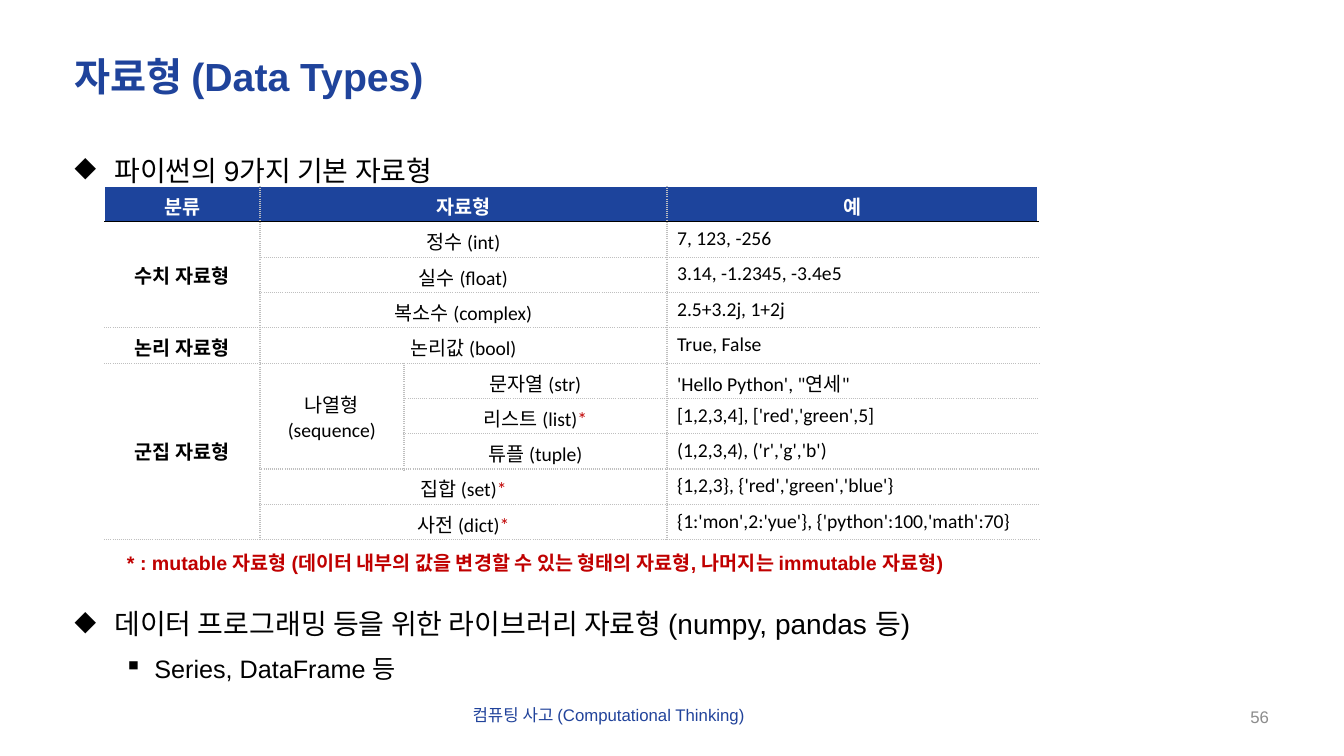
import pptx
import pptx.dml.color
import pptx.enum.text
import pptx.oxml
import pptx.oxml.ns
import pptx.util

Cm = pptx.util.Cm
Pt = pptx.util.Pt
Align = pptx.enum.text.PP_ALIGN
Anchor = pptx.enum.text.MSO_ANCHOR
AutoSize = pptx.enum.text.MSO_AUTO_SIZE

BLUE, TABLE_BLUE, FOOTER_BLUE = "1F439B", "1D449C", "21439B"
RED, GRAY, DOTTED_GRAY = "C00000", "8C8C8C", "BFBFBF"
BLACK, WHITE = "000000", "FFFFFF"

COLUMN_WIDTHS = (3.91, 3.63, 6.63, 9.35)
ROW_HEIGHT = 0.89
# None marks a cell covered by a merged neighbour; a final * marks a mutable type.
TYPE_ROWS = (
    ("분류", "자료형", None, "예"),
    ("수치 자료형", "정수 (int)", None, "7, 123, -256"),
    (None, "실수 (float)", None, "3.14, -1.2345, -3.4e5"),
    (None, "복소수 (complex)", None, "2.5+3.2j, 1+2j"),
    ("논리 자료형", "논리값 (bool)", None, "True, False"),
    ("군집 자료형", "나열형\n(sequence)", "문자열 (str)", "'Hello Python', \"연세\""),
    (None, None, "리스트 (list)*", "[1,2,3,4], ['red','green',5]"),
    (None, None, "튜플 (tuple)", "(1,2,3,4), ('r','g','b')"),
    (None, "집합 (set)*", None, "{1,2,3}, {'red','green','blue'}"),
    (None, "사전 (dict)*", None, "{1:'mon',2:'yue'}, {'python':100,'math':70}"),
)
TALL_MERGES = ((1, 0, 3, 0), (5, 0, 9, 0), (5, 1, 7, 1))
WIDE_MERGES = tuple((row, 1, row, 2) for row in (0, 1, 2, 3, 4, 8, 9))


def color(value):
    return pptx.dml.color.RGBColor.from_string(value)


def write(para, text, size=14, font="Arial", fill=BLACK, bold=False):
    """Add one formatted span to a paragraph."""
    span = para.add_run()
    span.text = text
    span.font.size = Pt(size)
    span.font.name = font
    span.font.bold = bold
    span.font.color.rgb = color(fill)


def set_bullet(para, mark, left, hanging):
    properties = para._p.get_or_add_pPr()
    properties.set("marL", str(Cm(left)))
    properties.set("indent", str(-Cm(hanging)))
    bullet = pptx.oxml.parse_xml(
        f'<a:buChar {pptx.oxml.ns.nsdecls("a")} char="{mark}"/>')
    properties.append(bullet)


def set_border(cell, side, line_color, dash):
    border = pptx.oxml.parse_xml(
        f'<a:ln{side} {pptx.oxml.ns.nsdecls("a")} w="{Pt(1)}">'
        f'<a:solidFill><a:srgbClr val="{line_color}"/></a:solidFill>'
        f'<a:prstDash val="{dash}"/></a:ln{side}>')
    cell._tc.get_or_add_tcPr().append(border)


class Slide:
    def __init__(self, deck):
        self.page = deck.slides.add_slide(deck.slide_layouts[6])

    def frame(self, left, top, width, height, anchor=Anchor.TOP, wrap=True):
        box = self.page.shapes.add_textbox(Cm(left), Cm(top), Cm(width), Cm(height))
        frame = box.text_frame
        frame.word_wrap = wrap
        frame.vertical_anchor = anchor
        frame.auto_size = AutoSize.NONE if wrap else AutoSize.SHAPE_TO_FIT_TEXT
        return frame

    def label(self, text, place, anchor=Anchor.TOP, wrap=True,
              align=Align.LEFT, spacing=None, **style):
        para = self.frame(*place, anchor, wrap).paragraphs[0]
        para.alignment = align
        para.line_spacing = spacing
        write(para, text, **style)

    def bullets(self, place, items, spacing):
        """Write (text, level) items as a bulleted list."""
        frame = self.frame(*place)
        for index, (text, level) in enumerate(items):
            para = frame.add_paragraph() if index else frame.paragraphs[0]
            mark, left, hanging, size, before = (
                ("▪", 2.01, 0.76, 18, 5) if level else ("◆", 1.0, 1.0, 20, 10))
            set_bullet(para, mark, left, hanging)
            para.level = level
            para.line_spacing = spacing
            if index:
                para.space_before = Pt(before)
            write(para, text, size=size)

    def type_table(self, left, top):
        count = len(TYPE_ROWS)
        table = self.page.shapes.add_table(
            count, len(COLUMN_WIDTHS), Cm(left), Cm(top),
            Cm(sum(COLUMN_WIDTHS)), Cm(ROW_HEIGHT * count)).table
        table.horz_banding = False
        for column, width in zip(table.columns, COLUMN_WIDTHS):
            column.width = Cm(width)
        for row in table.rows:
            row.height = Cm(ROW_HEIGHT)
        for top_row, first, bottom_row, last in TALL_MERGES + WIDE_MERGES:
            table.cell(top_row, first).merge(table.cell(bottom_row, last))
        for row, texts in enumerate(TYPE_ROWS):
            for column, text in enumerate(texts):
                cell = table.cell(row, column)
                self.cell_look(cell, row, column)
                if text:
                    self.cell_text(cell, text, row, column)

    def cell_look(self, cell, row, column):
        dotted, edge, rule = (DOTTED_GRAY, "sysDot"), (WHITE, "solid"), (BLACK, "solid")
        last = len(COLUMN_WIDTHS) - 1
        set_border(cell, "L", *(dotted if column else edge))
        set_border(cell, "R", *(edge if column == last else dotted))
        set_border(cell, "T", *{0: edge, 1: rule}.get(row, dotted))
        set_border(cell, "B", *(dotted if row else rule))
        cell.fill.solid()
        cell.fill.fore_color.rgb = color(WHITE if row else TABLE_BLUE)

    def cell_text(self, cell, text, row, column):
        header = row == 0
        example = column == 3 and not header
        cell.vertical_anchor = Anchor.TOP if example else Anchor.MIDDLE
        style = {
            "font": "Courier New" if column == 0 and not header else "Calibri",
            "fill": WHITE if header else BLACK,
            "bold": header or column == 0,
        }
        for index, line in enumerate(text.split("\n")):
            para = cell.text_frame.add_paragraph() if index else cell.text_frame.paragraphs[0]
            para.alignment = Align.LEFT if example else Align.CENTER
            write(para, line.removesuffix("*"), **style)
            if line.endswith("*"):
                write(para, "*", **(style | {"fill": RED}))


def main():
    deck = pptx.Presentation()
    deck.slide_width, deck.slide_height = Cm(33.87), Cm(19.05)
    slide = Slide(deck)
    slide.label("56", (24.61, 17.73, 7.62, 0.66), Anchor.MIDDLE,
                align=Align.RIGHT, size=12, fill=GRAY)
    slide.label("컴퓨팅 사고 (Computational Thinking)", (11.66, 17.63, 8.31, 0.76),
                wrap=False, size=12, fill=FOOTER_BLUE)
    slide.bullets((1.63, 3.4, 30.61, 1.35), [("파이썬의 9가지 기본 자료형", 0)], 1.4)
    slide.label("자료형 (Data Types)", (1.63, 1.3, 30.61, 1.35), Anchor.MIDDLE,
                spacing=0.9, size=28, fill=BLUE, bold=True)
    slide.bullets((1.63, 14.99, 30.61, 2.46), [
        ("데이터 프로그래밍 등을 위한 라이브러리 자료형 (numpy, pandas 등)", 0),
        ("Series, DataFrame 등", 1)], 1.2)
    slide.label("* : mutable 자료형 (데이터 내부의 값을 변경할 수 있는 형태의 자료형, "
                "나머지는 immutable 자료형)", (2.95, 13.77, 23.6, 0.86),
                wrap=False, fill=RED, bold=True)
    slide.type_table(2.64, 4.7)
    deck.save("out.pptx")


if __name__ == "__main__":
    main()
